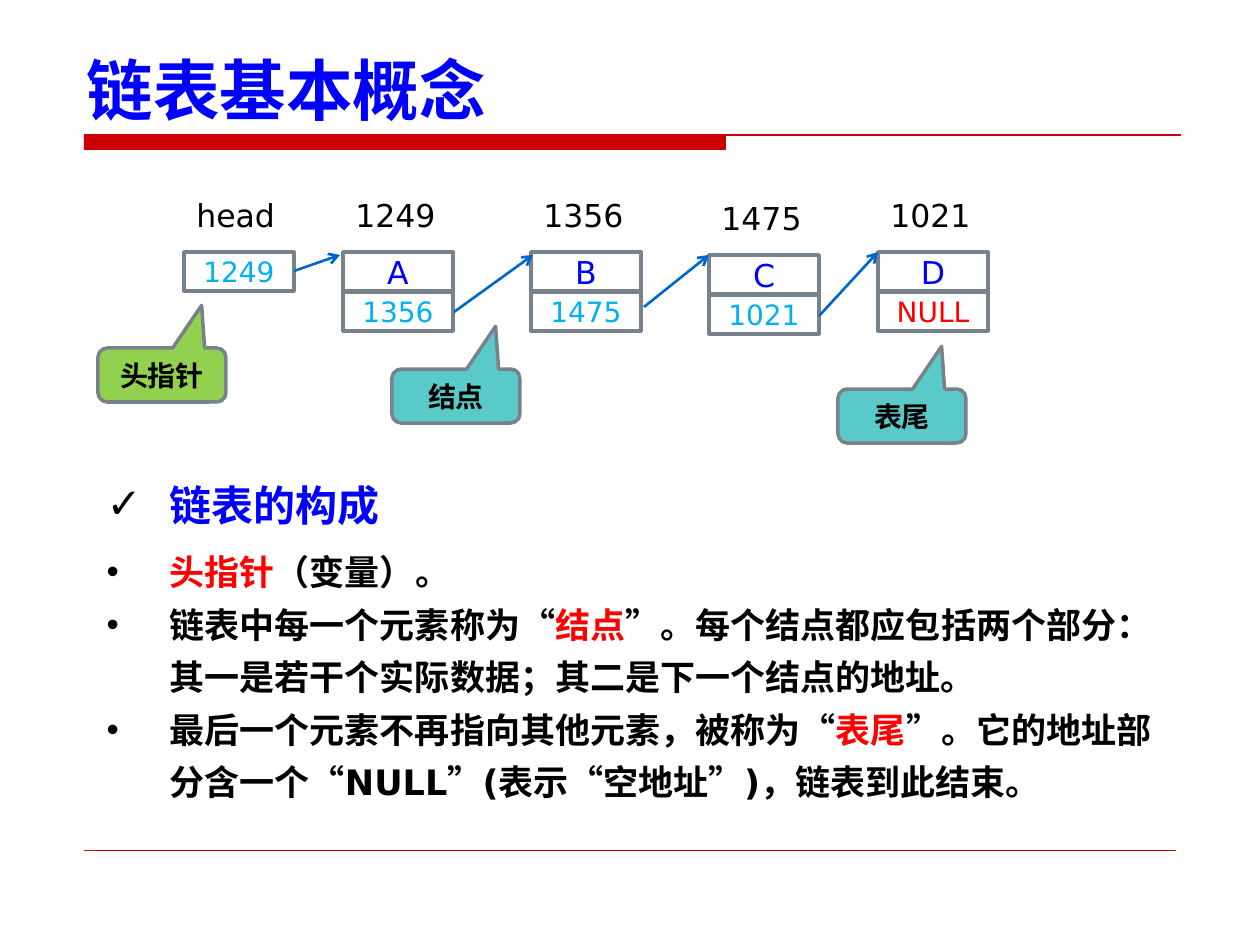
from lxml import etree
from pptx import Presentation
from pptx.dml.color import RGBColor
from pptx.enum.shapes import MSO_CONNECTOR, MSO_SHAPE
from pptx.enum.text import MSO_ANCHOR, MSO_AUTO_SIZE, PP_ALIGN
from pptx.oxml.ns import qn
from pptx.util import Pt

RECT, CALLOUT = MSO_SHAPE.RECTANGLE, MSO_SHAPE.ROUNDED_RECTANGULAR_CALLOUT
STRAIGHT = MSO_CONNECTOR.STRAIGHT
TOP, MIDDLE, BOTTOM = MSO_ANCHOR.TOP, MSO_ANCHOR.MIDDLE, MSO_ANCHOR.BOTTOM
LEFT, CENTER = PP_ALIGN.LEFT, PP_ALIGN.CENTER
NO_FIT = MSO_AUTO_SIZE.NONE

FONT = "DejaVu Sans"
BLACK, WHITE, BLUE, RED = "000000", "FFFFFF", "0000FF", "FF0000"
SKY, GRAY, CRIMSON, ARROW = "00B0F0", "77828D", "CC0000", "0066CC"
GREEN, TEAL = "92D050", "59CAC7"

# Content
TITLE = "链表基本概念"
# left, top, label, cells of (text, size, colour)
NODES = [
    (184, 252, "head", [("1249", 16, SKY)]),
    (343, 252, "1249", [("A", 18, BLUE), ("1356", 16, SKY)]),
    (531, 252, "1356", [("B", 18, BLUE), ("1475", 16, SKY)]),
    (709, 255, "1475", [("C", 18, BLUE), ("1021", 16, SKY)]),
    (878, 252, "1021", [("D", 18, BLUE), ("NULL", 16, RED)]),
]
ARROWS = [
    (294, 271, 340, 255),
    (454, 312, 533, 255),
    (644, 307, 709, 255),
    (819, 316, 878, 252),
]
CALLOUTS = [
    (98, 348, "头指针", GREEN),
    (392, 369, "结点", TEAL),
    (838, 389, "表尾", TEAL),
]
# bullet, size, line spacing, space before, runs of (text, colour)
POINTS = [
    ("✓", 24, 35, 0, [("链表的构成", BLUE)]),
    ("•", 20, 30, 6, [("头指针", RED), ("（变量）。", BLACK)]),
    ("•", 20, 30, 0, [
        ("链表中每一个元素称为“", BLACK), ("结点", RED),
        ("”。每个结点都应包括两个部分：其一是若干个实际数据；"
         "其二是下一个结点的地址。", BLACK)]),
    ("•", 20, 30, 0, [
        ("最后一个元素不再指向其他元素，被称为“", BLACK), ("表尾", RED),
        ("”。它的地址部分含一个“NULL”(表示“空地址”)，链表到此结束。", BLACK)]),
]
CELL_W, CELL_H, CELL_PITCH = 110, 39, 40
LABEL_H, LABEL_RISE = 50, 62
CALLOUT_W, CALLOUT_H = 128, 54
CALLOUT_ADJ = (0.31, -1.29, 0.17)
INDENT = 63


def px(n):
    return round(n * 914400 / 126)


def rgb(value):
    return RGBColor.from_string(value)


def place(s, *box):
    for name, value in zip(("left", "top", "width", "height"), box):
        setattr(s, name, px(value))


def add_run(p, text, size, color, bold=False):
    r = p.add_run()
    r.text = text
    for name, value in {"name": FONT, "size": Pt(size), "bold": bold}.items():
        setattr(r.font, name, value)
    r.font.color.rgb = rgb(color)


def set_frame(s, anchor):
    tf = s.text_frame
    form = {"word_wrap": True, "auto_size": NO_FIT, "vertical_anchor": anchor}
    for name, value in form.items():
        setattr(tf, name, value)
    return tf


def write(s, text, size, color, bold=False, align=CENTER, anchor=MIDDLE):
    p = set_frame(s, anchor).paragraphs[0]
    p.alignment = align
    add_run(p, text, size, color, bold)


def add_box(kind, box, fill, line=None):
    sp = shapes.add_shape(kind, *map(px, box))
    sp.shadow.inherit = False
    sp.fill.solid()
    sp.fill.fore_color.rgb = rgb(fill)
    if line:
        sp.line.color.rgb = rgb(line)
        sp.line.width = Pt(2)
    else:
        sp.line.fill.background()
    return sp


def add_line(ends, color, width, arrow=False):
    c = shapes.add_connector(STRAIGHT, *map(px, ends))
    c.line.color.rgb = rgb(color)
    c.line.width = Pt(width)
    if arrow:
        etree.SubElement(c.line._get_or_add_ln(), qn("a:tailEnd"), type="arrow")
    etree.SubElement(c._element.spPr, qn("a:effectLst"))


def add_bullet(p, char):
    ppr = p._p.get_or_add_pPr()
    ppr.set("marL", str(px(INDENT)))
    ppr.set("indent", str(-px(INDENT)))
    color = etree.SubElement(ppr, qn("a:buClr"))
    etree.SubElement(color, qn("a:srgbClr"), val=BLACK)
    etree.SubElement(ppr, qn("a:buChar"), char=char)


prs = Presentation()
prs.slide_width, prs.slide_height = px(1260), px(945)
s = prs.slides.add_slide(prs.slide_layouts[1])
shapes = s.shapes
title, body = s.placeholders

# Rules under the title and above the footer
add_box(RECT, (84, 135, 642, 15), CRIMSON)
add_line((84, 135, 1181, 135), CRIMSON, 0.75)
add_line((84, 850, 1176, 850), CRIMSON, 0.25)

# Title
place(title, 74, 35, 1142, 100)
write(title, TITLE, 38, BLUE, True, LEFT, BOTTOM)

# Bulleted text
place(body, 94, 462, 1091, 358)
tf = set_frame(body, TOP)
for i, (bullet, size, spacing, before, runs) in enumerate(POINTS):
    p = tf.add_paragraph() if i else tf.paragraphs[0]
    add_bullet(p, bullet)
    p.line_spacing, p.space_before = Pt(spacing), Pt(before)
    for text, color in runs:
        add_run(p, text, size, color, True)

# Linked nodes with their addresses
for x, y, label, cells in NODES:
    for row, cell in enumerate(cells):
        box = (x, y + row * CELL_PITCH, CELL_W, CELL_H)
        write(add_box(RECT, box, WHITE, GRAY), *cell)
    box = (x, y - LABEL_RISE, CELL_W, LABEL_H)
    write(shapes.add_textbox(*map(px, box)), label, 18, BLACK,
          align=LEFT, anchor=TOP)

for ends in ARROWS:
    add_line(ends, ARROW, 1.5, arrow=True)

# Callouts
for x, y, text, fill in CALLOUTS:
    sp = add_box(CALLOUT, (x, y, CALLOUT_W, CALLOUT_H), fill, GRAY)
    for i, value in enumerate(CALLOUT_ADJ):
        sp.adjustments[i] = value
    write(sp, text, 16, BLACK, True)

prs.save("out.pptx")
